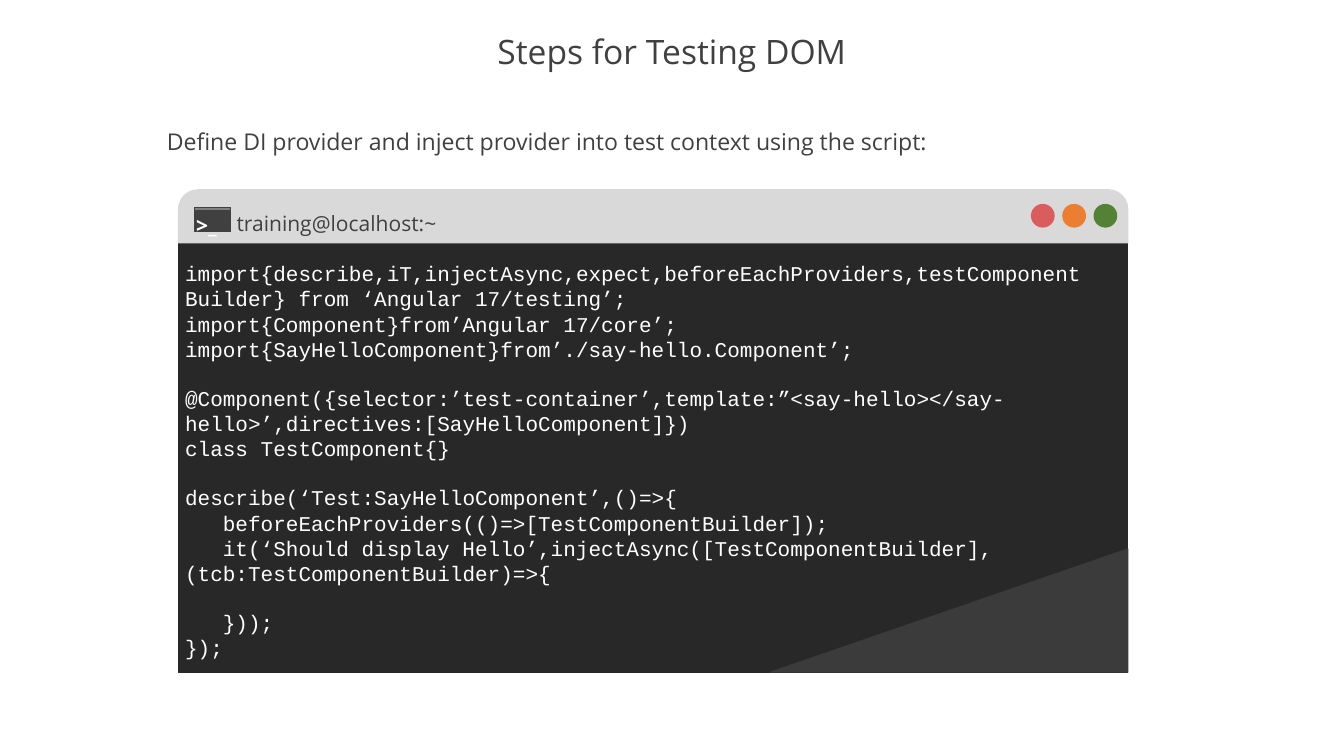
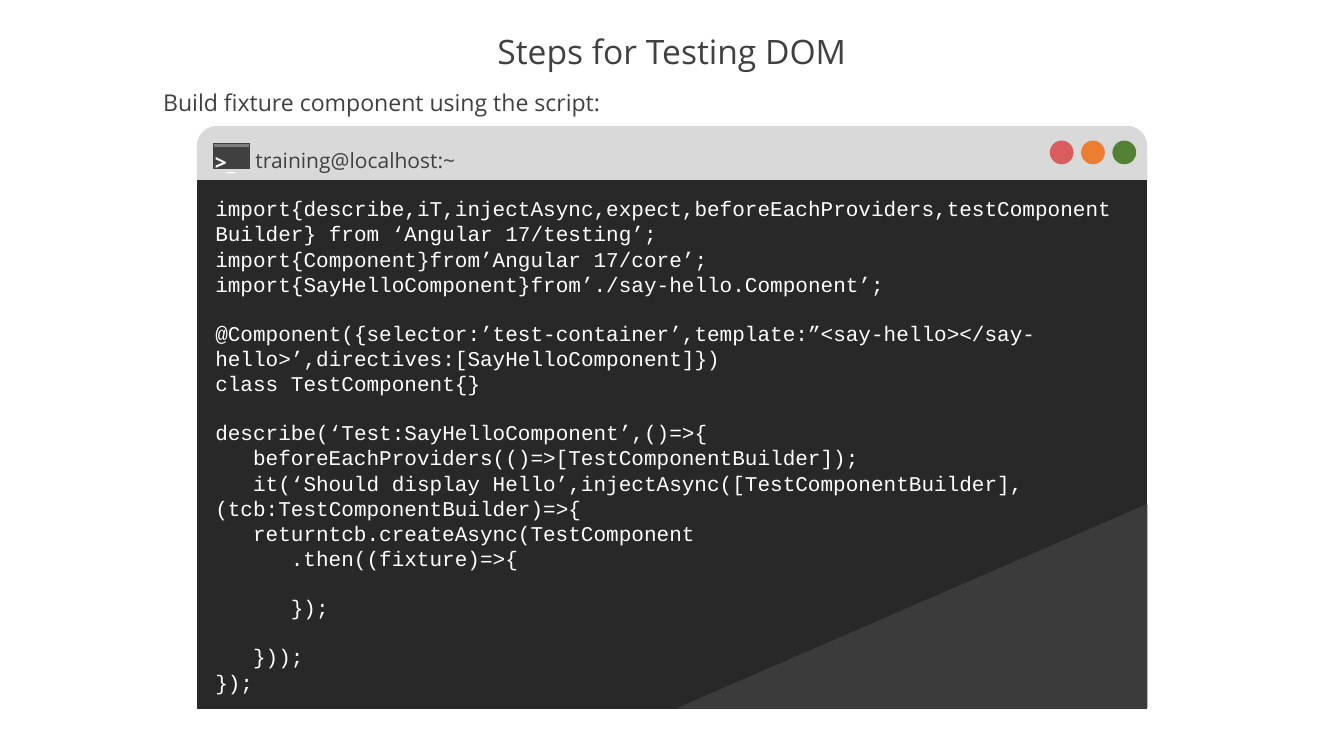
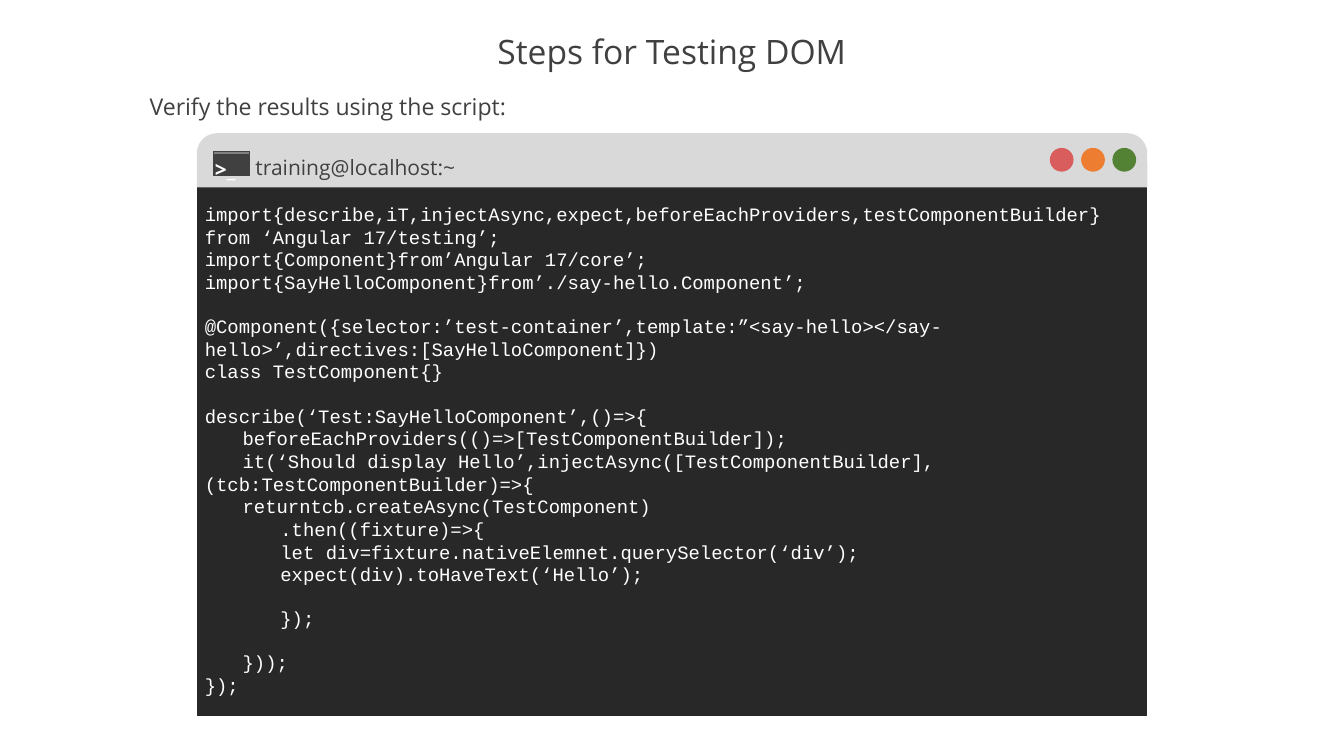
"""Build three slides that show the steps for testing the DOM in a terminal window."""
import pptx
import pptx.dml.color
import pptx.enum.shapes
import pptx.enum.text
import pptx.util

Pt = pptx.util.Pt
SHAPE = pptx.enum.shapes.MSO_SHAPE
ALIGN = pptx.enum.text.PP_ALIGN
ANCHOR = pptx.enum.text.MSO_ANCHOR
FIT = pptx.enum.text.MSO_AUTO_SIZE

COLORS = {
    "ink": "404040", "white": "FFFFFF", "body": "282828", "wedge": "3B3B3B",
    "bar": "D9D9D9", "strip": "808080",
    "red": "D95D5D", "orange": "ED7D31", "green": "548235",
}
SANS, MONO = "Open Sans", "Courier New"
PAGE_WIDTH, PAGE_HEIGHT = 1280.16, 720
WINDOW_WIDTH, BAR_HEIGHT = 904.3, 50.5
DOT_COLORS = ["red", "orange", "green"]
DOT_LEFT, DOT_TOP, DOT_STEP, DOT_SIZE = 812.5, 14, 29.8, 21.6
MONO_LINE = 1.133

TITLE = "Steps for Testing DOM"
HOST = "training@localhost:~"
OPENING = [
    "import{describe,iT,injectAsync,expect,beforeEachProviders,testComponentBuilder} from ‘Angular 17/testing’;",
    "import{Component}from’Angular 17/core’;",
    "import{SayHelloComponent}from’./say-hello.Component’;",
    "",
    "@Component({selector:’test-container’,template:”<say-hello></say-hello>’,directives:[SayHelloComponent]})",
    "class TestComponent{}",
    "",
    "describe(‘Test:SayHelloComponent’,()=>{",
    "\tbeforeEachProviders(()=>[TestComponentBuilder]);",
    "\tit(‘Should display Hello’,injectAsync([TestComponentBuilder],(tcb:TestComponentBuilder)=>{",
]
CLOSING = ["", "\t}));", "});"]
STEPS = [
    {
        "intro": "Define DI provider and inject provider into test context using the script:",
        "intro_at": (151.9, 117.4),
        "window": (170, 180.7), "body_height": 409, "wedge": (340.6, 117.4),
        "code_at": (169.2, 244.8, 875.5, 395.3), "code_size": 20,
        "lines": [],
    },
    {
        "intro": "Build fixture component using the script:",
        "intro_at": (148.3, 80.6),
        "window": (188, 120.4), "body_height": 503.5, "wedge": (446.4, 193.7),
        "code_at": (198, 182.9, 875.5, 491.8), "code_size": 20,
        "lines": ["\treturntcb.createAsync(TestComponent", "\t\t.then((fixture)=>{", "", "\t\t});"],
    },
    {
        "intro": "Verify the results using the script:",
        "intro_at": (135.4, 84.2),
        "window": (188, 127.4), "body_height": 503.5, "wedge": None,
        "code_at": (188, 189.4, 884.9, 487.4), "code_size": 18,
        "lines": [
            "\treturntcb.createAsync(TestComponent)",
            "\t\t.then((fixture)=>{",
            "\t\tlet div=fixture.nativeElemnet.querySelector(‘div’);",
            "\t\texpect(div).toHaveText(‘Hello’);",
            "",
            "\t\t});",
        ],
    },
]


def rgb(name):
    return pptx.dml.color.RGBColor.from_string(COLORS[name])


def paint(shape, fill, line=None):
    shape.shadow.inherit = False
    shape.fill.solid()
    shape.fill.fore_color.rgb = rgb(fill)
    shape.line.color.rgb = rgb(line or fill)
    shape.line.width = Pt(1)


def add_block(parent, kind, place, fill, line=None):
    shape = parent.shapes.add_shape(kind, *map(Pt, place))
    paint(shape, fill, line)
    return shape


def add_text(parent, place, lines, size, color="ink", font=SANS, bold=False, wrap=True):
    box = parent.shapes.add_textbox(*map(Pt, place))
    frame = box.text_frame
    frame.word_wrap = wrap
    frame.auto_size = FIT.SHAPE_TO_FIT_TEXT
    para, gap = frame.paragraphs[0], 0
    for number, line in enumerate(lines):
        if not line:
            gap += size * MONO_LINE
            continue
        if number:
            para = frame.add_paragraph()
        if gap:
            para.space_before = Pt(round(gap, 2))
            gap = 0
        span = para.add_run()
        span.text = line
        span.font.name = font
        span.font.size = Pt(size)
        span.font.bold = bold
        span.font.color.rgb = rgb(color)
    return frame


def add_title(page):
    frame = add_text(page, (0, 25.2, PAGE_WIDTH, 52.6), [TITLE], 32)
    frame.auto_size = FIT.NONE
    frame.vertical_anchor = ANCHOR.MIDDLE
    frame.paragraphs[0].alignment = ALIGN.CENTER
    frame.paragraphs[0].line_spacing = 0.9


def add_window(page, left, top, body_height, wedge):
    window = page.shapes.add_group_shape()
    body_top = top + BAR_HEIGHT
    right, bottom = left + WINDOW_WIDTH, body_top + body_height
    add_block(window, SHAPE.RECTANGLE, (left, body_top, WINDOW_WIDTH, body_height), "body")
    if wedge:
        width, height = wedge
        outline = window.shapes.build_freeform(Pt(right), Pt(bottom - height))
        outline.add_line_segments([(Pt(right), Pt(bottom)), (Pt(right - width), Pt(bottom))])
        paint(outline.convert_to_shape(), "wedge")
    bar = add_block(window, SHAPE.ROUND_2_SAME_RECTANGLE, (left, top, WINDOW_WIDTH, BAR_HEIGHT), "bar")
    bar.adjustments[0] = 0.37
    for number, color in enumerate(DOT_COLORS):
        dot_left = left + DOT_LEFT + number * DOT_STEP
        add_block(window, SHAPE.OVAL, (dot_left, top + DOT_TOP, DOT_SIZE, DOT_SIZE), color)
    add_text(window, (left + 48.2, top + 16.5, 206, 31.7), [HOST], 20, wrap=False)
    add_block(window, SHAPE.RECTANGLE, (left + 15.3, top + 20.4, 34.6, 19.4), "ink")
    add_block(window, SHAPE.RECTANGLE, (left + 15.3, top + 16.5, 34.6, 3.6), "strip", "ink")
    add_text(window, (left + 9.7, top + 18.3, 34.6, 31.7), [">_"], 20, "white", bold=True, wrap=False)
    return window


def main():
    deck = pptx.Presentation()
    deck.slide_width, deck.slide_height = Pt(PAGE_WIDTH), Pt(PAGE_HEIGHT)
    for step in STEPS:
        page = deck.slides.add_slide(deck.slide_layouts[6])
        add_title(page)
        add_text(page, (*step["intro_at"], 851.8, 33.8), [step["intro"]], 22)
        window = add_window(page, *step["window"], step["body_height"], step["wedge"])
        code = OPENING + step["lines"] + CLOSING
        if not step["lines"]:
            code = OPENING + CLOSING
        add_text(window, step["code_at"], code, step["code_size"], "white", MONO)
    deck.save("out.pptx")


if __name__ == "__main__":
    main()
